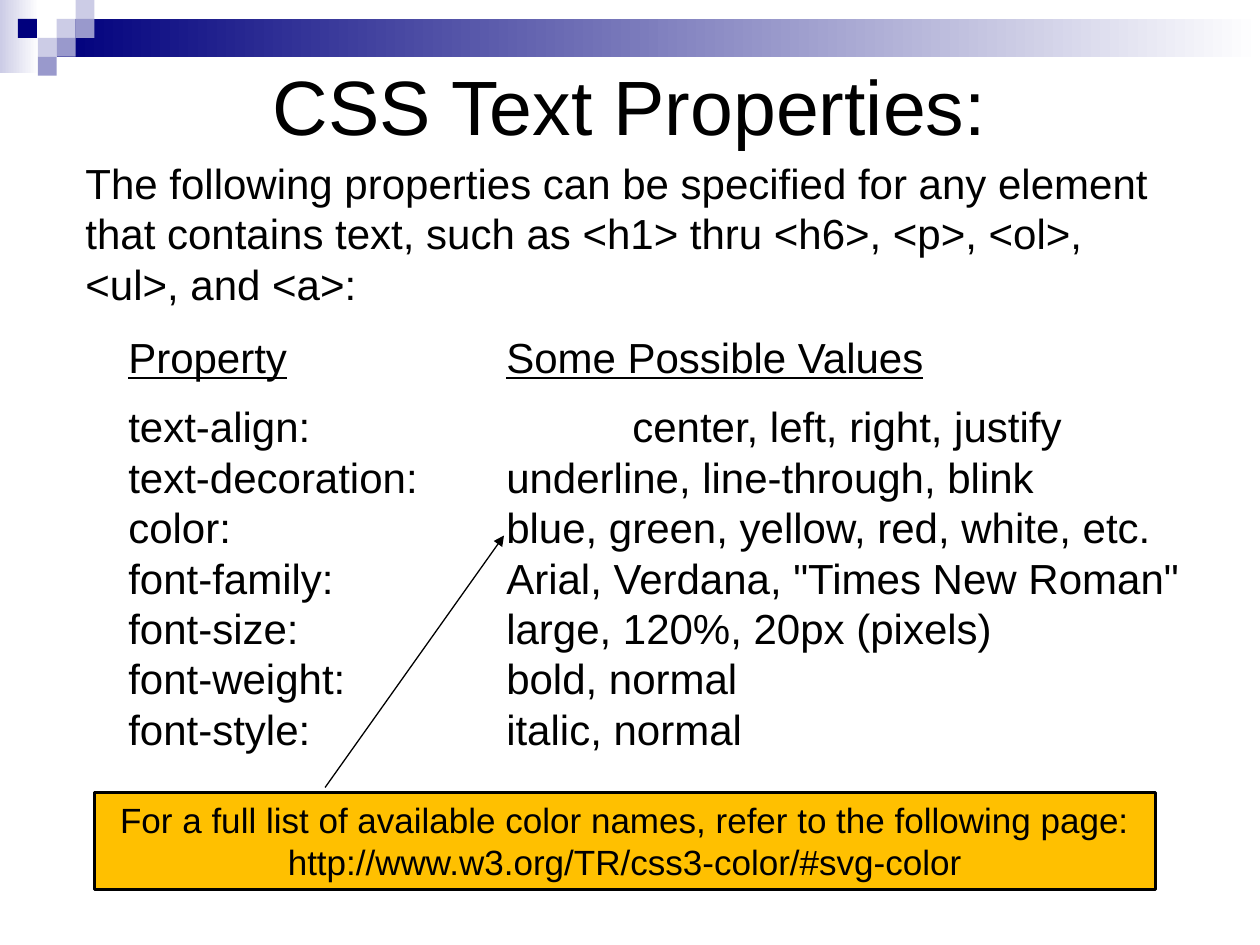
"""Build the slide on CSS text properties."""
from lxml.etree import SubElement
from pptx import Presentation
from pptx.dml.color import RGBColor
from pptx.enum.shapes import MSO_CONNECTOR as Connector, MSO_SHAPE as Shape
from pptx.enum.text import MSO_ANCHOR as Anchor, PP_ALIGN as Align
from pptx.oxml.ns import qn
from pptx.util import Inches, Pt

BLACK = RGBColor(0x00, 0x00, 0x00)
WHITE = RGBColor(0xFF, 0xFF, 0xFF)
NAVY = RGBColor(0x00, 0x00, 0x7D)
LAVENDER = RGBColor(0xCC, 0xCC, 0xE6)
PERIWINKLE = RGBColor(0x99, 0x99, 0xCC)
AMBER = RGBColor(0xFF, 0xC0, 0x00)

TITLE = "CSS Text Properties:"
INTRO = ("The following properties can be specified for any element that contains text, "
         "such as <h1> thru <h6>, <p>, <ol>, <ul>, and <a>:")
HEADINGS = ("Property", "Some Possible Values")
PROPERTIES = [
    ("text-align:", "center, left, right, justify"),
    ("text-decoration:", "underline, line-through, blink"),
    ("color:", "blue, green, yellow, red, white, etc."),
    ("font-family:", 'Arial, Verdana, "Times New Roman"'),
    ("font-size:", "large, 120%, 20px (pixels)"),
    ("font-weight:", "bold, normal"),
    ("font-style:", "italic, normal"),
]
NOTE = ("For a full list of available color names, refer to the following page: "
        "http://www.w3.org/TR/css3-color/#svg-color")

UNIT = 0.15
BANDS = [((0, 0, 0.31, 0.58), LAVENDER), ((3 * UNIT, UNIT, 9.55, 2 * UNIT), NAVY)]
SQUARES = [(3, 1, LAVENDER), (4, 0, LAVENDER), (4, 1, PERIWINKLE), (2, 2, LAVENDER),
           (0.95, 1, NAVY), (3, 2, PERIWINKLE), (2, 3, PERIWINKLE)]
VALUE_TAB, INDENTED_TAB = 3, 4


def add_rectangle(slide, box):
    shape = slide.shapes.add_shape(Shape.RECTANGLE, *map(Inches, box))
    shape.shadow.inherit = False
    shape.line.fill.background()
    return shape


def fill_solid(shape, color):
    shape.fill.solid()
    shape.fill.fore_color.rgb = color


def add_decoration(slide):
    for box, color in BANDS:
        fill = add_rectangle(slide, box).fill
        fill.gradient()
        fill.gradient_angle = 0
        for stop, stop_color in zip(fill.gradient_stops, (color, WHITE)):
            stop.color.rgb = stop_color
    for column, row, color in SQUARES:
        fill_solid(add_rectangle(slide, (column * UNIT, row * UNIT, UNIT, UNIT)), color)


def add_text_box(slide, box, anchor=Anchor.TOP):
    frame = slide.shapes.add_textbox(*map(Inches, box)).text_frame
    frame.word_wrap = True
    frame.vertical_anchor = anchor
    return frame


def style(paragraph, size, align=Align.LEFT):
    paragraph.alignment = align
    paragraph.font.name = "Arial"
    paragraph.font.size = Pt(size)
    paragraph.font.color.rgb = BLACK


def write(frame, text, size, align=Align.LEFT):
    frame.text = text
    style(frame.paragraphs[0], size, align)


def add_properties(slide, box):
    frame = add_text_box(slide, box)
    for index, (name, values) in enumerate([HEADINGS] + PROPERTIES):
        paragraph = frame.add_paragraph() if index else frame.paragraphs[0]
        if index == 1:
            paragraph.space_before = Pt(11)
        tab = INDENTED_TAB if name == "text-align:" else VALUE_TAB
        tabs = SubElement(paragraph._p.get_or_add_pPr(), qn("a:tabLst"))
        SubElement(tabs, qn("a:tab"), pos=str(Inches(tab)), algn="l")
        style(paragraph, 24)
        for text in (name, "\t", values):
            run = paragraph.add_run()
            run.text = text
            if index == 0 and text != "\t":
                run.font.underline = True


def add_note(slide, box):
    shape = add_rectangle(slide, box)
    fill_solid(shape, AMBER)
    shape.line.color.rgb = BLACK
    shape.line.width = Pt(2)
    shape.text_frame.word_wrap = True
    shape.text_frame.vertical_anchor = Anchor.TOP
    write(shape.text_frame, NOTE, 20, Align.CENTER)


def add_arrow(slide, start, end):
    arrow = slide.shapes.add_connector(Connector.STRAIGHT, *map(Inches, start + end))
    arrow.line.color.rgb = BLACK
    arrow.line.width = Pt(0.75)
    SubElement(arrow.line._get_or_add_ln(), qn("a:tailEnd"), type="triangle")
    SubElement(arrow._element.spPr, qn("a:effectLst"))


def main():
    presentation = Presentation()
    presentation.slide_width, presentation.slide_height = Inches(10), Inches(7.5)
    slide = presentation.slides.add_slide(presentation.slide_layouts[6])
    add_decoration(slide)
    write(add_text_box(slide, (0.5, 0.33, 9, 1), Anchor.MIDDLE), TITLE, 44, Align.CENTER)
    write(add_text_box(slide, (0.58, 1.2, 8.75, 1.3)), INTRO, 24)
    add_properties(slide, (0.92, 2.58, 8.67, 3.45))
    add_note(slide, (0.75, 6.29, 8.42, 0.77))
    add_arrow(slide, (2.58, 6.25), (4, 4.25))
    presentation.save("out.pptx")


if __name__ == "__main__":
    main()
